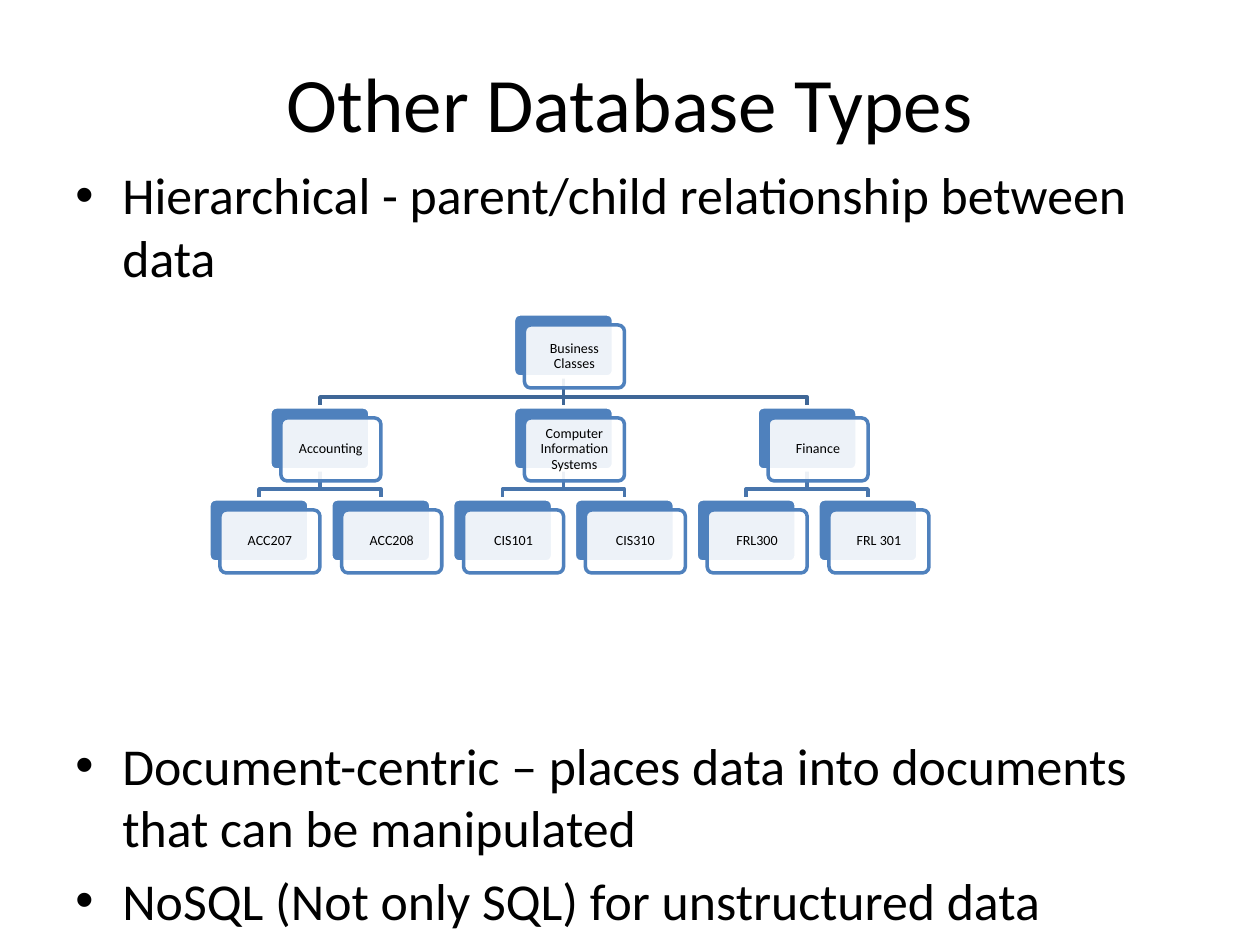
from lxml import etree
from pptx import Presentation
from pptx import util as u
from pptx.dml.color import RGBColor
from pptx.enum import shapes, text
from pptx.oxml.ns import qn

TITLE = "Other Database Types"
BULLETS = [
    ("Hierarchical - parent/child relationship between data", 6),
    ("Document-centric \u2013 places data into documents that can be manipulated", 255),
    ("NoSQL (Not only SQL) for unstructured data", 6),
]
ROOT = "Business Classes"
DEPARTMENTS = [
    ("Accounting", ["ACC207", "ACC208"]),
    ("Computer Information Systems", ["CIS101", "CIS310"]),
    ("Finance", ["FRL300", "FRL 301"]),
]

FONT = "Calibri"
BLACK = RGBColor(0x00, 0x00, 0x00)
WHITE = RGBColor(0xFF, 0xFF, 0xFF)
BLUE = RGBColor(0x4F, 0x81, 0xBD)
ROOT_LINE = RGBColor(0x3F, 0x67, 0x97)
LEAF_LINE = RGBColor(0x48, 0x75, 0xAC)

SCALE = 914400 / 126
TITLE_BOX = (63, 23, 1134, 157)
BODY_BOX = (63, 157, 1086, 718)
BULLET_INDENT = 47
LEVEL_TOPS = (314, 407, 499)
FIRST_LEAF, LEAF_SPAN = 209, 609
NODE_WIDTH, NODE_HEIGHT = 100, 63
CARD_OFFSET = 11
CARD_INSET = 5
ELBOW_RISE = 10


def px(value):
    return u.Emu(round(value * SCALE))


def write(paragraph, content, size, align=text.PP_ALIGN.LEFT, before=0, spacing=1.0):
    paragraph.alignment = align
    paragraph.space_before = u.Pt(before)
    paragraph.line_spacing = spacing
    run = paragraph.add_run()
    run.text = content
    run.font.name = FONT
    run.font.size = u.Pt(size)
    run.font.color.rgb = BLACK


def add_bullet(paragraph):
    properties = paragraph._p.get_or_add_pPr()
    properties.set("marL", str(px(BULLET_INDENT)))
    properties.set("indent", str(-px(BULLET_INDENT)))
    etree.SubElement(properties, qn("a:buFont")).set("typeface", "Arial")
    etree.SubElement(properties, qn("a:buChar")).set("char", "\u2022")


def add_card(left, top, fill, line):
    card = slide.shapes.add_shape(
        shapes.MSO_SHAPE.ROUNDED_RECTANGLE,
        px(left), px(top), px(NODE_WIDTH), px(NODE_HEIGHT))
    card.adjustments[0] = 0.1
    card.shadow.inherit = False
    card.fill.solid()
    card.fill.fore_color.rgb = fill
    card.line.color.rgb = line
    card.line.width = u.Pt(2)
    return card


def add_node(label, left, level):
    top = LEVEL_TOPS[level]
    add_card(left, top, BLUE, WHITE)
    card = add_card(left + CARD_OFFSET, top + CARD_OFFSET, WHITE, BLUE)
    color = card.fill._xPr.find(qn("a:solidFill"))[0]
    etree.SubElement(color, qn("a:alpha")).set("val", "90000")
    frame = card.text_frame
    frame.word_wrap = True
    frame.vertical_anchor = text.MSO_ANCHOR.MIDDLE
    frame.margin_left = frame.margin_right = px(CARD_INSET)
    frame.margin_top = frame.margin_bottom = px(CARD_INSET)
    write(frame.paragraphs[0], label, 8, align=text.PP_ALIGN.CENTER, spacing=0.9)


def add_branch(parent_left, child_left, level, color):
    start, end = (left + NODE_WIDTH / 2 for left in (parent_left, child_left))
    top, bottom = LEVEL_TOPS[level] + NODE_HEIGHT, LEVEL_TOPS[level + 1]
    if abs(start - end) < 1:
        branch = slide.shapes.add_connector(
            shapes.MSO_CONNECTOR.STRAIGHT, px(start), px(top), px(end), px(bottom))
        etree.SubElement(branch._element.spPr, qn("a:effectLst"))
    else:
        elbow = bottom - ELBOW_RISE
        builder = slide.shapes.build_freeform(px(start), px(top))
        corners = [(start, elbow), (end, elbow), (end, bottom)]
        builder.add_line_segments([(px(x), px(y)) for x, y in corners], close=False)
        branch = builder.convert_to_shape()
        branch.fill.background()
        branch.shadow.inherit = False
    branch.line.color.rgb = color
    branch.line.width = u.Pt(2)


presentation = Presentation()
presentation.slide_width, presentation.slide_height = px(1260), px(945)
slide = presentation.slides.add_slide(presentation.slide_layouts[5])

title = slide.shapes.title
title.left, title.top, title.width, title.height = map(px, TITLE_BOX)
title.text_frame.vertical_anchor = text.MSO_ANCHOR.MIDDLE
write(title.text_frame.paragraphs[0], TITLE, 44, align=text.PP_ALIGN.CENTER)

body = slide.shapes.add_textbox(*map(px, BODY_BOX)).text_frame
body.word_wrap = True
for index, (content, before) in enumerate(BULLETS):
    paragraph = body.add_paragraph() if index else body.paragraphs[0]
    write(paragraph, content, 29.6, before=before)
    add_bullet(paragraph)

leaf_count = sum(len(courses) for _, courses in DEPARTMENTS)
leaf_step = LEAF_SPAN / (leaf_count - 1)
root_left = FIRST_LEAF + LEAF_SPAN / 2
nodes = [(ROOT, root_left, 0)]
branches = []
leaf_index = 0
for department, courses in DEPARTMENTS:
    lefts = [FIRST_LEAF + (leaf_index + i) * leaf_step for i in range(len(courses))]
    leaf_index += len(courses)
    department_left = sum(lefts) / len(lefts)
    nodes.append((department, department_left, 1))
    nodes += [(course, left, 2) for course, left in zip(courses, lefts)]
    branches.append((root_left, department_left, 0, ROOT_LINE))
    branches += [(department_left, left, 1, LEAF_LINE) for left in lefts]

for branch in branches:
    add_branch(*branch)
for node in nodes:
    add_node(*node)

presentation.save("out.pptx")
